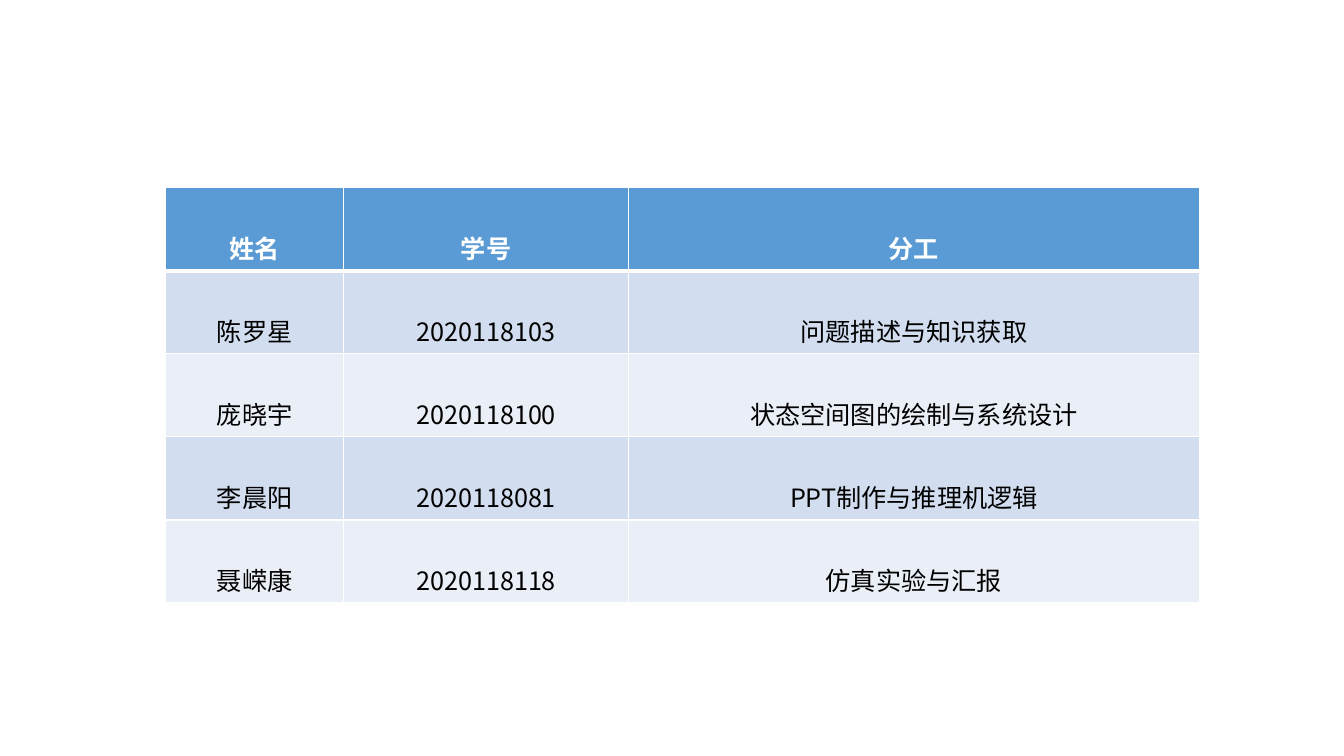
from lxml.etree import SubElement
from pptx import Presentation
from pptx.dml.color import RGBColor
from pptx.enum.text import PP_ALIGN
from pptx.oxml.ns import qn
from pptx.util import Cm, Pt

FONT = "Noto Sans CJK SC"
COLORS = {
    "header": "5B9BD5",
    "odd": "D2DEEF",
    "even": "EAEFF7",
    "white": "FFFFFF",
    "black": "000000",
}
ROWS = [
    ("姓名", "学号", "分工"),
    ("陈罗星", "2020118103", "问题描述与知识获取"),
    ("庞晓宇", "2020118100", "状态空间图的绘制与系统设计"),
    ("李晨阳", "2020118081", "PPT制作与推理机逻辑"),
    ("聂嵘康", "2020118118", "仿真实验与汇报"),
]
COLUMN_SHARES = (0.172, 0.276, 0.552)


def rgb(name):
    return RGBColor.from_string(COLORS[name])


def set_borders(cell, top, bottom):
    """Draw white borders: 1 pt at the sides, the given points above and below."""
    tcPr = cell._tc.get_or_add_tcPr()
    for tag, width in (("lnL", 1), ("lnR", 1), ("lnT", top), ("lnB", bottom)):
        ln = SubElement(tcPr, qn(f"a:{tag}"), w=str(Pt(width)))
        fill = SubElement(ln, qn("a:solidFill"))
        SubElement(fill, qn("a:srgbClr"), val=COLORS["white"])


def write_cell(cell, text, color, bold):
    p = cell.text_frame.paragraphs[0]
    p.alignment = PP_ALIGN.CENTER
    p.line_spacing = 2.0
    r = p.add_run()
    r.text = text
    r.font.size = Pt(18)
    r.font.bold = bold
    r.font.color.rgb = rgb(color)
    r.font.name = FONT
    SubElement(r._r.get_or_add_rPr(), qn("a:ea"), typeface=FONT)


def add_team_table(s, left, top, width, height):
    table = s.shapes.add_table(
        len(ROWS), len(COLUMN_SHARES), left, top, width, height
    ).table
    table.first_row = True
    table.horz_banding = False
    for column, share in zip(table.columns, COLUMN_SHARES):
        column.width = int(width * share)
    for i, row in enumerate(ROWS):
        is_header = i == 0
        band = "header" if is_header else "odd" if i % 2 else "even"
        for j, text in enumerate(row):
            cell = table.cell(i, j)
            set_borders(cell, top=3 if i == 1 else 1, bottom=3 if is_header else 1)
            cell.fill.solid()
            cell.fill.fore_color.rgb = rgb(band)
            write_cell(cell, text, "white" if is_header else "black", is_header)


def main():
    prs = Presentation()
    prs.slide_width, prs.slide_height = Cm(33.87), Cm(19.05)
    s = prs.slides.add_slide(prs.slide_layouts[6])
    add_team_table(s, Cm(4.18), Cm(4.73), Cm(26.04), Cm(9.63))
    prs.save("out.pptx")


if __name__ == "__main__":
    main()
